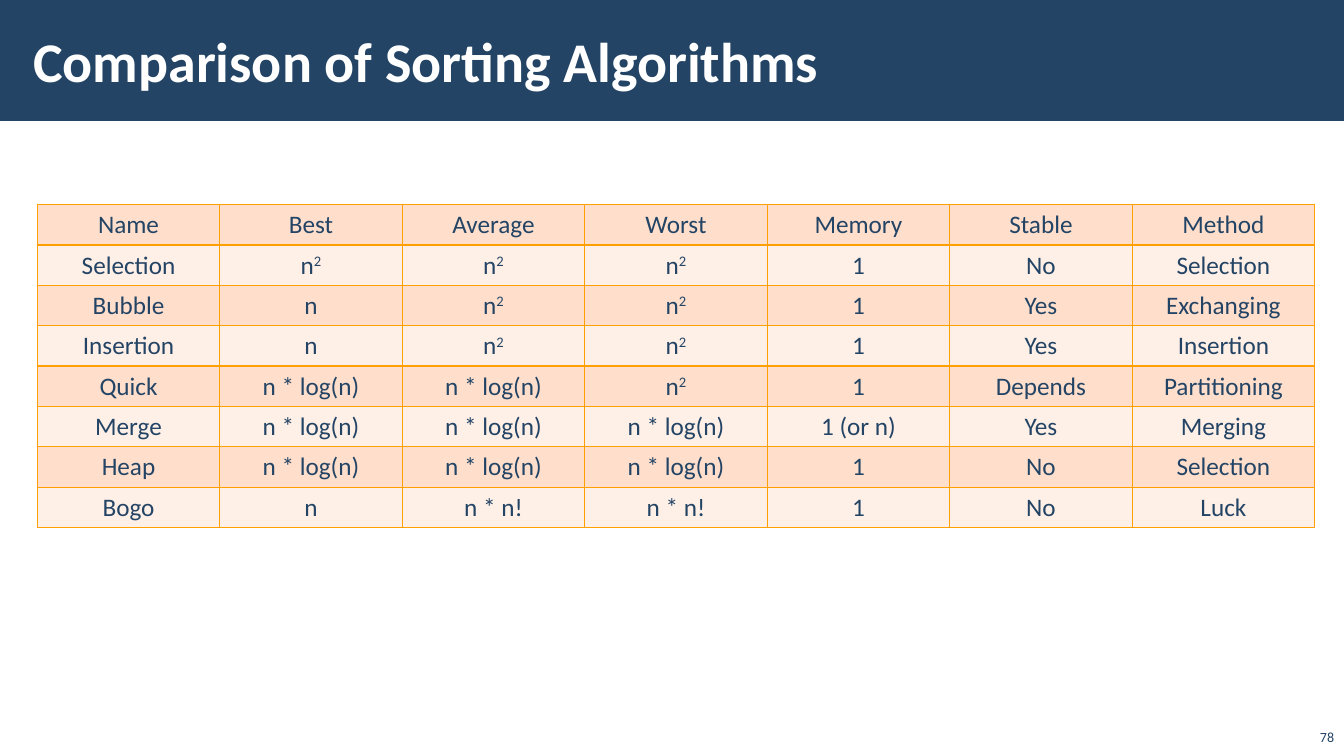
from lxml import etree
from pptx import Presentation
from pptx import util as u
from pptx.dml.color import RGBColor
from pptx.enum import shapes, text
from pptx.oxml import ns

NAVY, WHITE, ORANGE = "234465", "FFFFFF", "FFA000"
BAND_FILLS = ("FFDFCC", "FFF0E7")
ALGORITHMS = [
    ("Name", "Best", "Average", "Worst", "Memory", "Stable", "Method"),
    ("Selection", "n^2", "n^2", "n^2", "1", "No", "Selection"),
    ("Bubble", "n", "n^2", "n^2", "1", "Yes", "Exchanging"),
    ("Insertion", "n", "n^2", "n^2", "1", "Yes", "Insertion"),
    ("Quick", "n * log(n)", "n * log(n)", "n^2", "1", "Depends", "Partitioning"),
    ("Merge", "n * log(n)", "n * log(n)", "n * log(n)", "1 (or n)", "Yes", "Merging"),
    ("Heap", "n * log(n)", "n * log(n)", "n * log(n)", "1", "No", "Selection"),
    ("Bogo", "n", "n * n!", "n * n!", "1", "No", "Luck"),
]


def rgb(code):
    return RGBColor.from_string(code)


def write(frame, content, size=18, color=NAVY, bold=False,
          align=text.PP_ALIGN.LEFT, anchor=text.MSO_ANCHOR.TOP):
    frame.word_wrap = True
    frame.vertical_anchor = anchor
    paragraph = frame.paragraphs[0]
    paragraph.alignment = align
    for level, part in enumerate(content.split("^")):
        run = paragraph.add_run()
        run.text = part
        run.font.name = "Calibri"
        run.font.size = u.Pt(size)
        run.font.bold = bold
        run.font.color.rgb = rgb(color)
        if level:
            run.font._element.set("baseline", "30000")


class SlideBuilder:
    """Holds the current slide and draws its elements in one style."""

    def __init__(self, deck):
        self.slide = deck.slides.add_slide(deck.slide_layouts[5])

    def title(self, content, left, top, width, height):
        heading = self.slide.shapes.title
        heading.left, heading.top = u.Inches(left), u.Inches(top)
        heading.width, heading.height = u.Inches(width), u.Inches(height)
        frame = heading.text_frame
        frame.margin_left = frame.margin_right = u.Inches(0.12)
        frame.margin_top = frame.margin_bottom = u.Inches(0.04)
        frame.auto_size = text.MSO_AUTO_SIZE.NONE
        write(frame, content, size=40, color=WHITE, bold=True,
              anchor=text.MSO_ANCHOR.MIDDLE)

    def banner(self, width, height):
        band = self.slide.shapes.add_shape(
            shapes.MSO_SHAPE.RECTANGLE, 0, 0, u.Inches(width), u.Inches(height))
        band.shadow.inherit = False
        band.fill.solid()
        band.fill.fore_color.rgb = rgb(NAVY)
        band.line.fill.background()
        self.slide.shapes.title.element.addprevious(band.element)

    def page_number(self, content, left, top, width, height):
        number = self.slide.shapes.add_textbox(*map(u.Inches, (left, top, width, height)))
        write(number.text_frame, content, size=10, align=text.PP_ALIGN.RIGHT,
              anchor=text.MSO_ANCHOR.BOTTOM)

    def table(self, rows, left, top, column_width, row_height):
        columns = len(rows[0])
        grid = self.slide.shapes.add_table(
            len(rows), columns, u.Inches(left), u.Inches(top),
            u.Inches(column_width * columns), u.Inches(row_height * len(rows))).table
        for column in grid.columns:
            column.width = u.Inches(column_width)
        for r, values in enumerate(rows):
            grid.rows[r].height = u.Inches(row_height)
            for c, value in enumerate(values):
                self.cell(grid.cell(r, c), value, BAND_FILLS[r % 2])

    def cell(self, cell, value, fill):
        properties = cell._tc.get_or_add_tcPr()
        for side in ("lnL", "lnR", "lnT", "lnB"):
            border = etree.SubElement(properties, ns.qn(f"a:{side}"), w=str(u.Pt(1)))
            solid = etree.SubElement(border, ns.qn("a:solidFill"))
            etree.SubElement(solid, ns.qn("a:srgbClr"), val=ORANGE)
        cell.fill.solid()
        cell.fill.fore_color.rgb = rgb(fill)
        write(cell.text_frame, value, align=text.PP_ALIGN.CENTER)


def main():
    deck = Presentation()
    deck.slide_width, deck.slide_height = u.Inches(13.33), u.Inches(7.5)
    page = SlideBuilder(deck)
    page.banner(13.33, 1.2)
    page.title("Comparison of Sorting Algorithms", 0.21, 0.11, 10.63, 0.97)
    page.page_number("78", 12.93, 7.12, 0.4, 0.32)
    page.table(ALGORITHMS, 0.37, 2.03, 1.81, 0.4)
    deck.save("out.pptx")


if __name__ == "__main__":
    main()
